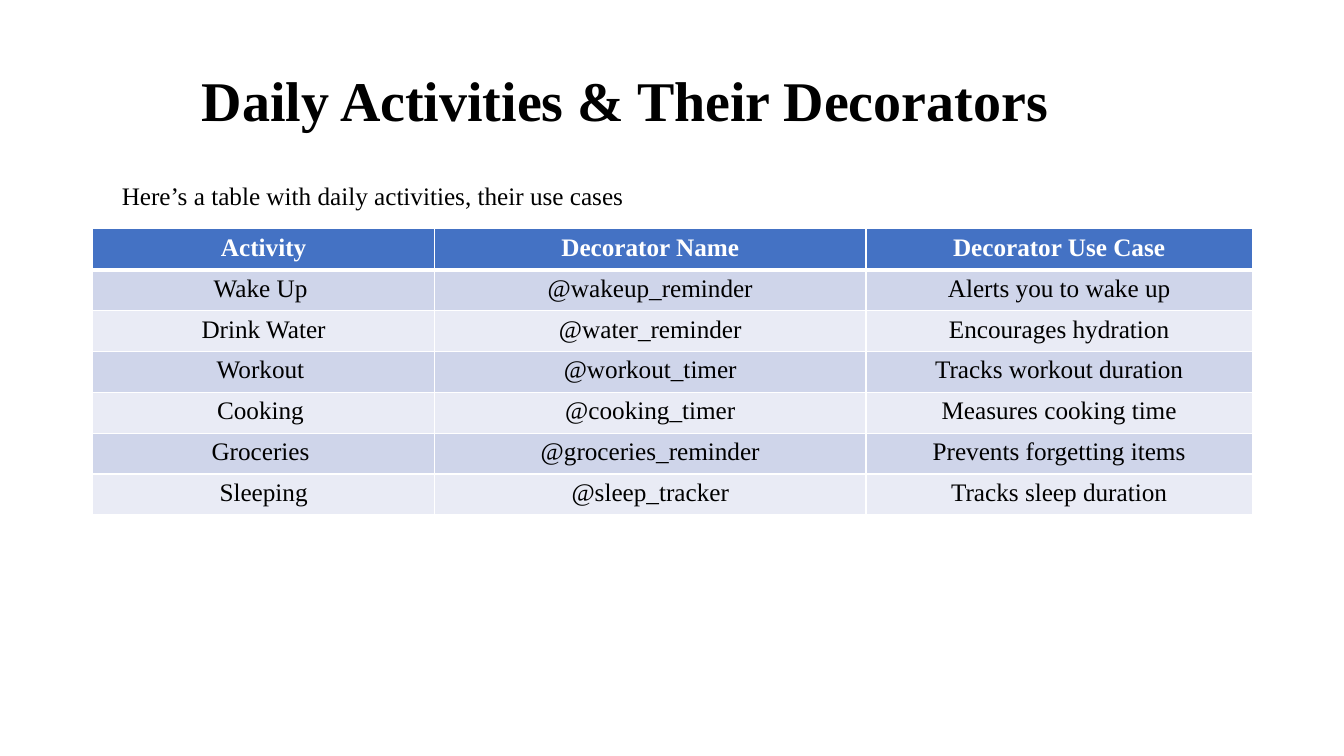
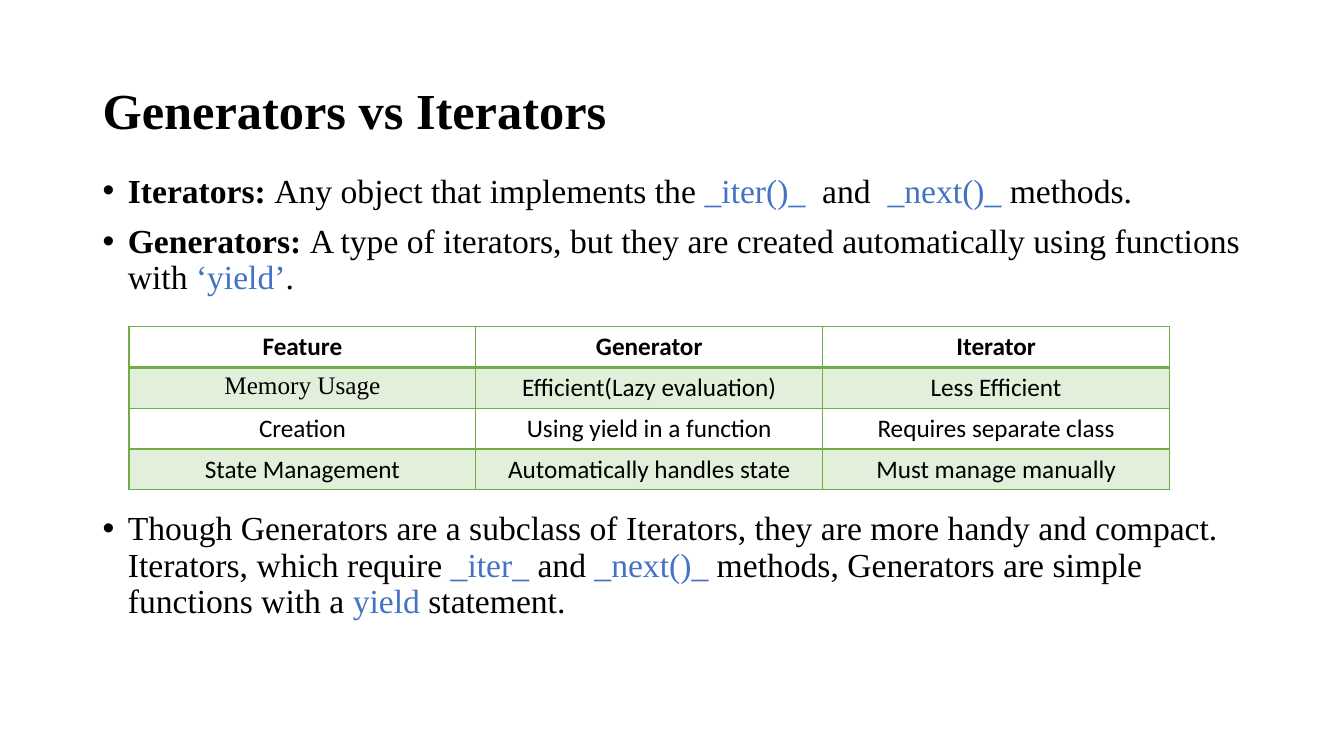
from lxml.etree import SubElement
from pptx import Presentation
from pptx.dml.color import RGBColor
from pptx.enum.text import MSO_ANCHOR as Anchor, PP_ALIGN as Align
from pptx.oxml.ns import qn
from pptx.util import Inches, Pt

SERIF, SANS = "Times New Roman", "Calibri"
BLACK, WHITE, BLUE, GREEN = "000000", "FFFFFF", "4472C4", "70AD47"
BLUE_BANDS = ("CFD5EA", "E9EBF5")
GREEN_BANDS = ("E2EFDA", None)
CONTENT_LEFT, CONTENT_WIDTH = 0.92, 11.5


def rgb(code):
    """Turn a hex string into a colour."""
    return RGBColor.from_string(code)


class Deck:
    """Holds the presentation, its text style and the current slide."""

    def __init__(self):
        """Start an empty widescreen presentation."""
        self.file = Presentation()
        self.file.slide_width = Inches(13.33)
        self.file.slide_height = Inches(7.5)
        self.slide = None

    def new_slide(self):
        """Add a blank slide and make it current."""
        self.slide = self.file.slides.add_slide(self.file.slide_layouts[6])

    def run(self, paragraph, text, size, font=SERIF, color=BLACK, bold=False):
        """Append one styled run to a paragraph."""
        piece = paragraph.add_run()
        piece.text = text
        piece.font.size = Pt(size)
        piece.font.name = font
        piece.font.bold = bold
        piece.font.color.rgb = rgb(color)

    def frame(self, left, top, width, height):
        """Add a wrapping text box and return its text frame."""
        box = self.slide.shapes.add_textbox(
            Inches(left), Inches(top), Inches(width), Inches(height))
        box.text_frame.word_wrap = True
        return box.text_frame

    def title(self, text, left, top, size, align=Align.LEFT):
        """Add a bold slide title, centred vertically in its band."""
        frame = self.frame(left, top, CONTENT_WIDTH, 1.45)
        frame.vertical_anchor = Anchor.MIDDLE
        heading = frame.paragraphs[0]
        heading.alignment = align
        heading.line_spacing = 0.9
        self.run(heading, text, size, bold=True)

    def caption(self, text, left, top, width, height):
        """Add a single line of plain text."""
        self.run(self.frame(left, top, width, height).paragraphs[0], text, 18)

    def bullets(self, top, height, points):
        """Add bulleted paragraphs, each a list of (text, style) runs."""
        frame = self.frame(CONTENT_LEFT, top, CONTENT_WIDTH, height)
        for index, point in enumerate(points):
            paragraph = frame.add_paragraph() if index else frame.paragraphs[0]
            props = paragraph._p.get_or_add_pPr()
            props.set("marL", str(Inches(0.25)))
            props.set("indent", str(-Inches(0.25)))
            SubElement(props, qn("a:buFont"), typeface="Arial")
            SubElement(props, qn("a:buChar"), char="•")
            paragraph.line_spacing = 0.9
            if index:
                paragraph.space_before = Pt(10)
            for text, style in point:
                self.run(paragraph, text, 24, **style)

    def border(self, cell, side, color, width):
        """Draw one edge of a table cell."""
        edge = SubElement(cell._tc.get_or_add_tcPr(), qn(f"a:ln{side}"), w=str(Pt(width)))
        SubElement(SubElement(edge, qn("a:solidFill")), qn("a:srgbClr"), val=color)

    def table(self, left, top, height, widths, rows, font, line, rule, header, bands, fonts):
        """Add a banded table; header is (fill, text colour), fonts maps cells to exceptions."""
        grid = self.slide.shapes.add_table(
            len(rows), len(widths), Inches(left), Inches(top),
            Inches(sum(widths)), Inches(height)).table
        grid.first_row = grid.horz_banding = False
        for column, width in zip(grid.columns, widths):
            column.width = Inches(width)
        for r, row in enumerate(rows):
            grid.rows[r].height = Inches(height / len(rows))
            fill, color = (bands[(r - 1) % 2], BLACK) if r else header
            edges = {"L": 1, "R": 1, "T": rule if r == 1 else 1, "B": 1 if r else rule}
            for c, text in enumerate(row):
                cell = grid.cell(r, c)
                for side, width in edges.items():
                    self.border(cell, side, line, width)
                if fill:
                    cell.fill.solid()
                    cell.fill.fore_color.rgb = rgb(fill)
                else:
                    cell.fill.background()
                paragraph = cell.text_frame.paragraphs[0]
                paragraph.alignment = Align.CENTER
                self.run(paragraph, text, 18, fonts.get((r, c), font), color, bold=r == 0)


def activities_slide(deck):
    """Build the table of daily activities."""
    deck.new_slide()
    deck.title("Daily Activities & Their Decorators", 0.45, 0.3, 40, Align.CENTER)
    activities = [
        ("Activity", "Decorator Name", "Decorator Use Case"),
        ("Wake Up ", "@wakeup_reminder", "Alerts you to wake up"),
        ("Drink Water", "@water_reminder", "Encourages hydration"),
        ("Workout ", "@workout_timer", "Tracks workout duration"),
        ("Cooking ", "@cooking_timer", "Measures cooking time"),
        ("Groceries ", "@groceries_reminder", "Prevents forgetting items"),
        ("Sleeping", "@sleep_tracker", "Tracks sleep duration"),
    ]
    deck.table(CONTENT_LEFT, 2.27, 2.84, (3.39, 4.28, 3.83), activities, SERIF,
               line=WHITE, rule=3, header=(BLUE, WHITE), bands=BLUE_BANDS, fonts={})
    deck.caption("Here’s a table with daily activities, their use cases", 1.11, 1.74, 6.67, 0.4)


def comparison_slide(deck):
    """Build the comparison of generators and iterators."""
    plain, term, code = {}, {"bold": True}, {"color": BLUE}
    deck.new_slide()
    deck.title("Generators vs Iterators", CONTENT_LEFT, 0.4, 36)
    deck.bullets(1.68, 1.4, [
        [("Iterators: ", term), ("Any object that implements the ", plain),
         ("_iter()_", code), ("  and  ", plain), ("_next()_", code), (" methods.", plain)],
        [("Generators: ", term),
         ("A type of iterators, but they are created automatically using functions with ", plain),
         ("‘yield’", code), (".", plain)],
    ])
    deck.bullets(5.03, 1.2, [
        [("Though Generators are a subclass of Iterators, they are more handy and compact. "
          "Iterators, which require ", plain),
         ("_iter_ ", code), ("and ", plain), ("_next()_ ", code),
         ("methods, Generators are simple functions with a ", plain),
         ("yield", code), (" statement.", plain)],
    ])
    features = [
        ("Feature", "Generator", "Iterator"),
        ("Memory Usage", "Efficient(Lazy evaluation)", "Less Efficient"),
        ("Creation", "Using yield in a function", "Requires separate class"),
        ("State Management", "Automatically handles state", "Must manage manually"),
    ]
    deck.table(1.28, 3.24, 1.62, (3.44,) * 3, features, SANS, line=GREEN, rule=2,
               header=(None, BLACK), bands=GREEN_BANDS, fonts={(1, 0): SERIF})


def main():
    """Build and save the presentation."""
    deck = Deck()
    activities_slide(deck)
    comparison_slide(deck)
    deck.file.save("out.pptx")


if __name__ == "__main__":
    main()
